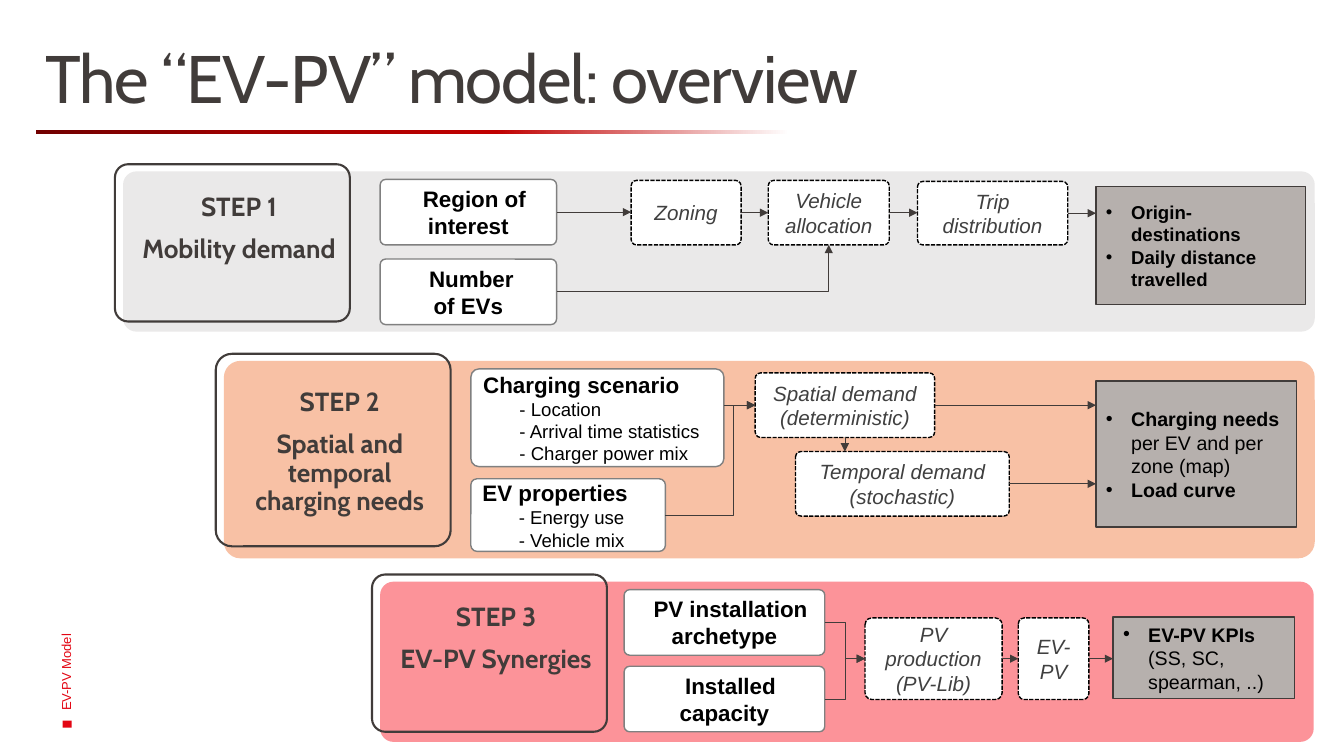
from dataclasses import dataclass

from lxml import etree
from pptx import Presentation
from pptx.dml.color import RGBColor
from pptx.enum.dml import MSO_LINE
from pptx.enum.shapes import MSO_CONNECTOR as Connector, MSO_SHAPE as Shape
from pptx.enum.text import MSO_ANCHOR as Anchor, PP_ALIGN as Align
from pptx.oxml.ns import qn
from pptx.util import Inches, Pt


@dataclass(frozen=True)
class Theme:
    body_font: str = "Arial"
    head_font: str = "Cabin"
    ink: str = "413C3A"
    black: str = "000000"
    white: str = "FFFFFF"
    process_text: str = "404040"
    input_line: str = "808080"
    output_fill: str = "B6B0AD"
    accent: str = "E30613"
    panels: tuple = ("EAE9E9", "F8C1A5", "FC9399")
    rule_stops: tuple = ((0, "720000"), (30, "A20000"), (61, "C00000"), (100, "FFFFFF"))
    title_size: float = 48
    step_size: float = 18.7
    input_size: float = 16
    process_size: float = 14.7
    output_size: float = 14
    detail_size: float = 13.3
    label_size: float = 9.3


THEME = Theme()
CORNER = 0.084


def rgb(value):
    return RGBColor.from_string(value)


# Text
def add_text(frame, text, *, size, color=THEME.black, font=THEME.body_font, bold=False,
             italic=False, align=Align.LEFT, line_spacing=None, space_before=0,
             left=0, indent=0, bullet=False, tracking=None):
    """Append one paragraph; text is a string or a list of (text, bold) runs."""
    first = frame.paragraphs[0]
    paragraph = frame.add_paragraph() if first.runs else first
    paragraph.alignment = align
    if line_spacing:
        paragraph.line_spacing = line_spacing
    if paragraph is not first:
        paragraph.space_before = Pt(space_before)
    properties = paragraph._p.get_or_add_pPr()
    properties.set("marL", str(Inches(left)))
    properties.set("indent", str(Inches(indent)))
    if bullet:
        etree.SubElement(properties, qn("a:buFont"), typeface="Arial")
        etree.SubElement(properties, qn("a:buChar"), char="•")
    runs = [(text, bold)] if isinstance(text, str) else text
    for words, is_bold in runs:
        run = paragraph.add_run()
        run.text = words
        run.font.name = font
        run.font.size = Pt(size)
        run.font.bold = is_bold
        run.font.italic = italic
        run.font.color.rgb = rgb(color)
        if tracking:
            run._r.get_or_add_rPr().set("spc", str(int(tracking * 100)))


def set_insets(frame, left, top, right, bottom):
    frame.margin_left, frame.margin_top = Inches(left), Inches(top)
    frame.margin_right, frame.margin_bottom = Inches(right), Inches(bottom)


# Boxes
def add_box(slide, at, fill=None, line=None, width=1, dashed=False, corner=CORNER,
            kind=Shape.ROUNDED_RECTANGLE):
    shape = slide.shapes.add_shape(kind, *map(Inches, at))
    shape.shadow.inherit = False
    if kind == Shape.ROUNDED_RECTANGLE:
        shape.adjustments[0] = corner
    if fill:
        shape.fill.solid()
        shape.fill.fore_color.rgb = rgb(fill)
    else:
        shape.fill.background()
    if line:
        shape.line.color.rgb = rgb(line)
        shape.line.width = Pt(width)
        if dashed:
            shape.line.dash_style = MSO_LINE.SQUARE_DOT
    else:
        shape.line.fill.background()
    shape.text_frame.word_wrap = True
    shape.text_frame.vertical_anchor = Anchor.MIDDLE
    return shape


def add_input(slide, at, *lines, indent=0.12):
    shape = add_box(slide, at, THEME.white, THEME.input_line)
    for line in lines:
        add_text(shape.text_frame, line, size=THEME.input_size, bold=True,
                 align=Align.CENTER, indent=indent)
        indent = 0
    return shape


def add_detailed_input(slide, at, heading, details):
    shape = add_box(slide, at, THEME.white, THEME.input_line)
    add_text(shape.text_frame, heading, size=THEME.input_size, bold=True)
    for detail in details:
        add_text(shape.text_frame, f"- {detail}", size=THEME.detail_size, left=0.36)
    return shape


def add_process(slide, at, text):
    shape = add_box(slide, at, THEME.white, THEME.black, dashed=True)
    add_text(shape.text_frame, text, size=THEME.process_size, color=THEME.process_text,
             italic=True, align=Align.CENTER)
    return shape


def add_output(slide, at, *items, size=THEME.output_size):
    shape = add_box(slide, at, THEME.output_fill, THEME.ink, corner=0)
    for item in items:
        add_text(shape.text_frame, item, size=size, bold=True, left=0.25, indent=-0.25,
                 bullet=True)
    return shape


def add_step(slide, panel_at, color, outline_at, caption_at, *lines):
    add_box(slide, panel_at, color)
    add_box(slide, outline_at, line=THEME.ink, width=1.5)
    frame = slide.shapes.add_textbox(*map(Inches, caption_at)).text_frame
    frame.word_wrap = True
    set_insets(frame, 0.26, 0.07, 0.13, 0.07)
    for line in lines:
        add_text(frame, line, size=THEME.step_size, color=THEME.ink, font=THEME.head_font,
                 bold=True, align=Align.CENTER, line_spacing=0.9, space_before=10)


# Arrows
def middle(shape):
    return shape.top + shape.height // 2


def center(shape):
    return shape.left + shape.width // 2


def right(shape):
    return shape.left + shape.width


def add_arrow(slide, start, end, kind=Connector.STRAIGHT):
    arrow = slide.shapes.add_connector(kind, *start, *end)
    arrow.line.color.rgb = rgb(THEME.ink)
    arrow.line.width = Pt(0.5)
    etree.SubElement(arrow.line._get_or_add_ln(), qn("a:tailEnd"), type="triangle")
    etree.SubElement(arrow._element.spPr, qn("a:effectLst"))
    return arrow


def link(slide, source, target, level=None):
    """Level arrow between facing sides, at the middle of source or of level."""
    y = middle(level or source)
    add_arrow(slide, (right(source), y), (target.left, y))


def link_bent(slide, source, target, bend=0.5):
    arrow = add_arrow(slide, (right(source), middle(source)),
                      (target.left, middle(target)), Connector.ELBOW)
    guides = arrow._element.spPr.find(qn("a:prstGeom")).get_or_add_avLst()
    etree.SubElement(guides, qn("a:gd"), name="adj1", fmla=f"val {int(bend * 100000)}")


def link_from_below(slide, source, target):
    arrow = add_arrow(slide, (right(source), middle(source)),
                      (center(target), target.top + target.height), Connector.ELBOW)
    arrow._element.spPr.find(qn("a:prstGeom")).set("prst", "bentConnector2")


# Slide parts
def add_heading(slide):
    title = slide.shapes.title
    title.left, title.top, title.width, title.height = map(Inches, (0.25, 0.45, 10.55, 1.17))
    title.text_frame.vertical_anchor = Anchor.TOP
    title.text_frame.word_wrap = True
    set_insets(title.text_frame, 0.2, 0, 0.08, 0.05)
    add_text(title.text_frame, "The “EV-PV” model: overview", size=THEME.title_size,
             color=THEME.ink, font=THEME.head_font, line_spacing=0.9, tracking=-0.9)
    rule = add_box(slide, (0.36, 1.29, 7.47, 0.04), kind=Shape.RECTANGLE)
    rule.fill.gradient()
    rule.fill.gradient_angle = 0
    stops = rule._element.spPr.find(qn("a:gradFill")).find(qn("a:gsLst"))
    for stop in list(stops):
        stops.remove(stop)
    for position, color in THEME.rule_stops:
        stop = etree.SubElement(stops, qn("a:gs"), pos=str(position * 1000))
        etree.SubElement(stop, qn("a:srgbClr"), val=color)


def add_side_label(slide):
    add_box(slide, (0.62, 7.15, 0.09, 0.07), THEME.accent, kind=Shape.RECTANGLE)
    label = slide.shapes.add_textbox(*map(Inches, (-1.78, 4.05, 4.87, 1.33)))
    label.rotation = 270
    label.text_frame.word_wrap = True
    label.text_frame.vertical_anchor = Anchor.MIDDLE
    add_text(label.text_frame, "EV-PV Model", size=THEME.label_size, color=THEME.accent)


def add_mobility_step(slide):
    add_step(slide, (1.22, 1.7, 11.82, 1.59), THEME.panels[0], (1.14, 1.63, 2.33, 1.56),
             (1.14, 1.85, 2.33, 1.44), "STEP 1", "Mobility demand")
    region = add_input(slide, (3.77, 1.78, 1.75, 0.65), "Region of interest")
    number = add_input(slide, (3.77, 2.57, 1.75, 0.65), "Number", "of EVs", indent=0.06)
    zoning = add_process(slide, (6.26, 1.79, 1.09, 0.64), "Zoning")
    vehicles = add_process(slide, (7.62, 1.79, 1.2, 0.64), "Vehicle allocation")
    trips = add_process(slide, (9.1, 1.8, 1.49, 0.63), "Trip distribution")
    result = add_output(slide, (10.87, 1.85, 2.08, 1.17), "Origin-destinations",
                        "Daily distance travelled", size=THEME.detail_size)
    chain = (region, zoning, vehicles, trips, result)
    for source, target in zip(chain, chain[1:]):
        link(slide, source, target)
    link_from_below(slide, number, vehicles)


def add_charging_step(slide):
    add_step(slide, (2.22, 3.58, 10.82, 1.96), THEME.panels[1], (2.14, 3.51, 2.33, 1.91),
             (2.14, 3.79, 2.33, 1.67), "STEP 2", "Spatial and temporal charging needs")
    scenario = add_detailed_input(
        slide, (4.67, 3.66, 2.51, 0.97), "Charging scenario",
        ("Location", "Arrival time statistics", "Charger power mix"))
    vehicle = add_detailed_input(slide, (4.67, 4.75, 1.93, 0.72), "EV properties",
                                 ("Energy use", "Vehicle mix"))
    spatial = add_process(slide, (7.49, 3.7, 1.78, 0.64), "Spatial demand (deterministic)")
    temporal = add_process(slide, (7.89, 4.48, 2.12, 0.64), "Temporal demand (stochastic)")
    result = add_output(slide, (10.87, 3.78, 1.99, 1.45),
                        [("Charging needs ", True), ("per EV and per zone (map)", False)],
                        "Load curve")
    link(slide, scenario, spatial, level=spatial)
    link_bent(slide, vehicle, spatial, bend=0.76)
    link(slide, spatial, result)
    link(slide, temporal, result)
    x = center(spatial)
    add_arrow(slide, (x, spatial.top + spatial.height), (x, temporal.top))


def add_synergy_step(slide):
    add_step(slide, (3.77, 5.77, 9.26, 1.59), THEME.panels[2], (3.69, 5.7, 2.33, 1.56),
             (3.69, 5.92, 2.33, 1.44), "STEP 3", "EV-PV Synergies")
    archetype = add_input(slide, (6.19, 5.85, 1.99, 0.65), "PV installation archetype")
    capacity = add_input(slide, (6.19, 6.61, 1.99, 0.65), "Installed capacity")
    production = add_process(slide, (8.58, 6.13, 1.36, 0.81), "PV production (PV-Lib)")
    matching = add_process(slide, (10.1, 6.13, 0.7, 0.81), "EV-PV")
    result = add_output(slide, (11.04, 6.12, 1.8, 0.81),
                        [("EV-PV KPIs ", True), ("(SS, SC, spearman, ..)", False)])
    for source in (archetype, capacity):
        link_bent(slide, source, production)
    link(slide, production, matching)
    link(slide, matching, result)


def main():
    presentation = Presentation()
    presentation.slide_width, presentation.slide_height = Inches(13.33), Inches(7.5)
    slide = presentation.slides.add_slide(presentation.slide_layouts[5])
    add_heading(slide)
    add_side_label(slide)
    add_mobility_step(slide)
    add_charging_step(slide)
    add_synergy_step(slide)
    presentation.save("out.pptx")


if __name__ == "__main__":
    main()
